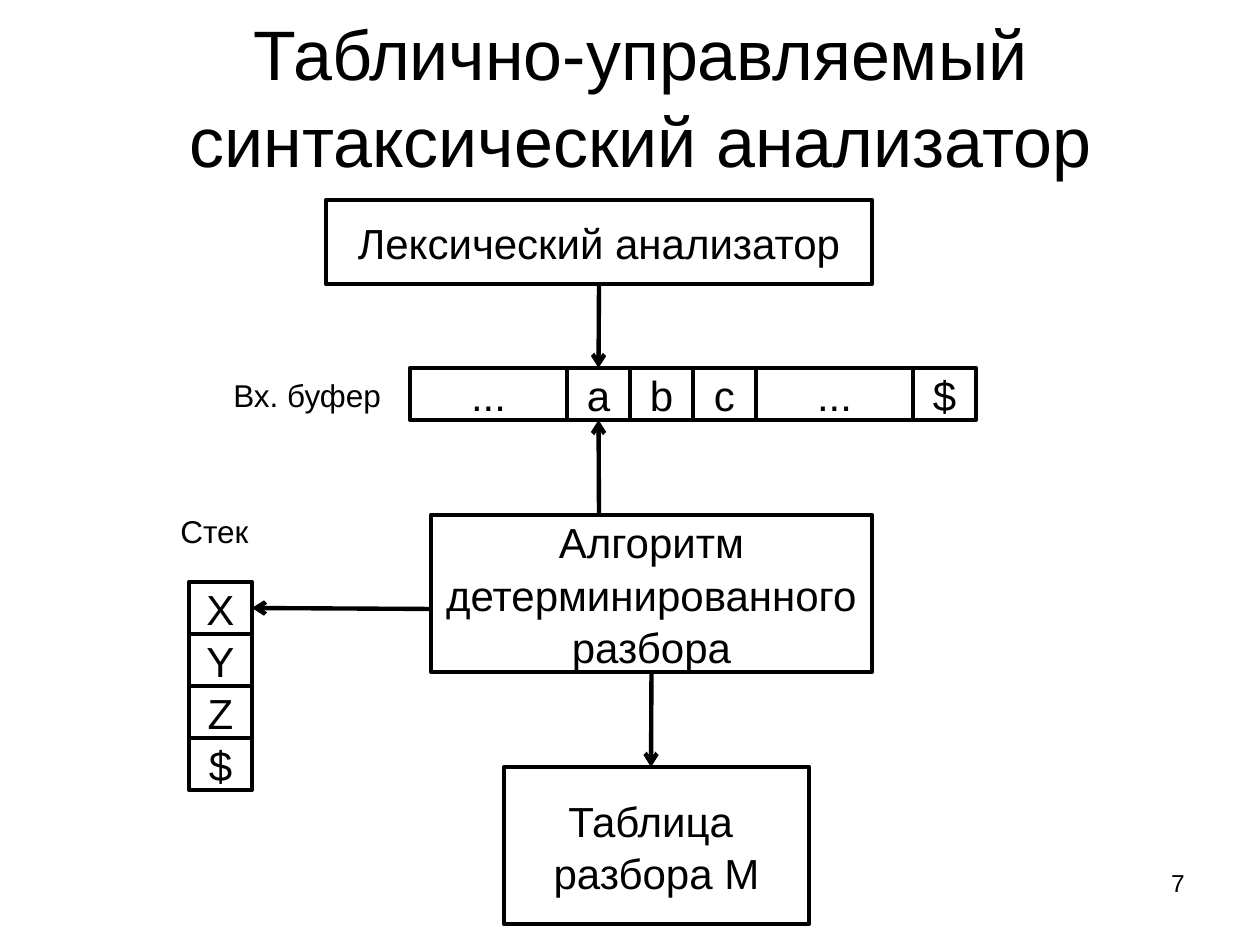
from pptx import Presentation
from pptx.dml.color import RGBColor
from pptx.enum.shapes import MSO_CONNECTOR, MSO_SHAPE
from pptx.enum.text import MSO_ANCHOR, PP_ALIGN
from pptx.oxml.ns import qn
from pptx.util import Emu, Pt
from lxml.etree import SubElement

BLACK = RGBColor(0, 0, 0)
TOP, LEFT, BOTTOM, RIGHT = range(4)
DPI = 126
ROW = 630 // 12  # height of one buffer or stack cell


def px(n):
    return Emu(round(n * 914400 / DPI))


def write(frame, text, size=24, align=PP_ALIGN.CENTER,
          anchor=MSO_ANCHOR.MIDDLE, wrap=True, before=0, pitch=1.04):
    frame.word_wrap = wrap
    frame.vertical_anchor = anchor
    para = frame.paragraphs[0]
    para.text = text
    para.alignment = align
    para.space_before = Pt(before)
    para.line_spacing = pitch
    for run in para.runs:
        run.font.name = "Arial"
        run.font.size = Pt(size)
        run.font.color.rgb = BLACK


class Board:
    """Draws black outlined elements on one slide."""

    def __init__(self, slide, width=2.5):
        self.shapes = slide.shapes
        self.width = Pt(width)

    def label(self, text, x, y, w, h, **style):
        box = self.shapes.add_textbox(px(x), px(y), px(w), px(h))
        write(box.text_frame, text, **style)

    def box(self, text, x, y, w, h):
        rect = self.shapes.add_shape(
            MSO_SHAPE.RECTANGLE, px(x), px(y), px(w), px(h))
        rect.shadow.inherit = False
        rect.fill.background()
        rect.line.color.rgb = BLACK
        rect.line.width = self.width
        write(rect.text_frame, text, wrap=False)
        return rect

    def arrow(self, start, end, source=None, target=None):
        """Source and target are (shape, side) pairs to join."""
        line = self.shapes.add_connector(
            MSO_CONNECTOR.STRAIGHT, *map(px, start + end))
        if source:
            line.begin_connect(*source)
        if target:
            line.end_connect(*target)
        line.line.color.rgb = BLACK
        line.line.width = self.width
        SubElement(line.line._get_or_add_ln(), qn("a:tailEnd"), type="arrow")
        SubElement(line._element.spPr, qn("a:effectLst"))


def main():
    deck = Presentation()
    deck.slide_width, deck.slide_height = px(1260), px(945)
    board = Board(deck.slides.add_slide(deck.slide_layouts[6]))

    board.label("Таблично-управляемый синтаксический анализатор",
                63, 21, 1155, 147, size=40)
    board.label("7", 903, 861, 294, 65, size=14,
                align=PP_ALIGN.RIGHT, anchor=MSO_ANCHOR.TOP)

    lexer = board.box("Лексический анализатор", 326, 200, 546, 84)
    parser = board.box("Алгоритм\n детерминированного \nразбора",
                       431, 515, 441, 157)
    board.box("Таблица \nразбора М", 504, 767, 305, 157)

    side = dict(size=18, align=PP_ALIGN.LEFT, anchor=MSO_ANCHOR.TOP,
                before=11.2)
    board.label("Вх. буфер", 221, 368, 179, 50, **side)
    board.label("Стек", 168, 504, 105, 50, **side)

    x, buffer = 410, []
    for text in ("...", "a", "b", "c", "...", "$"):
        w = 157 if text == "..." else 63
        buffer.append(board.box(text, x, 368, w, ROW))
        x += w
    head = buffer[1]

    stack = [board.box(text, 189, 582 + i * ROW, 63, ROW)
             for i, text in enumerate("XYZ$")]

    board.arrow((599, 284), (599, 368), (lexer, BOTTOM), (head, TOP))
    board.arrow((599, 515), (599, 420), target=(head, BOTTOM))
    board.arrow((431, 609), (252, 609), target=(stack[0], RIGHT))
    board.arrow((651, 672), (651, 767), source=(parser, BOTTOM))

    deck.save("out.pptx")


if __name__ == "__main__":
    main()
